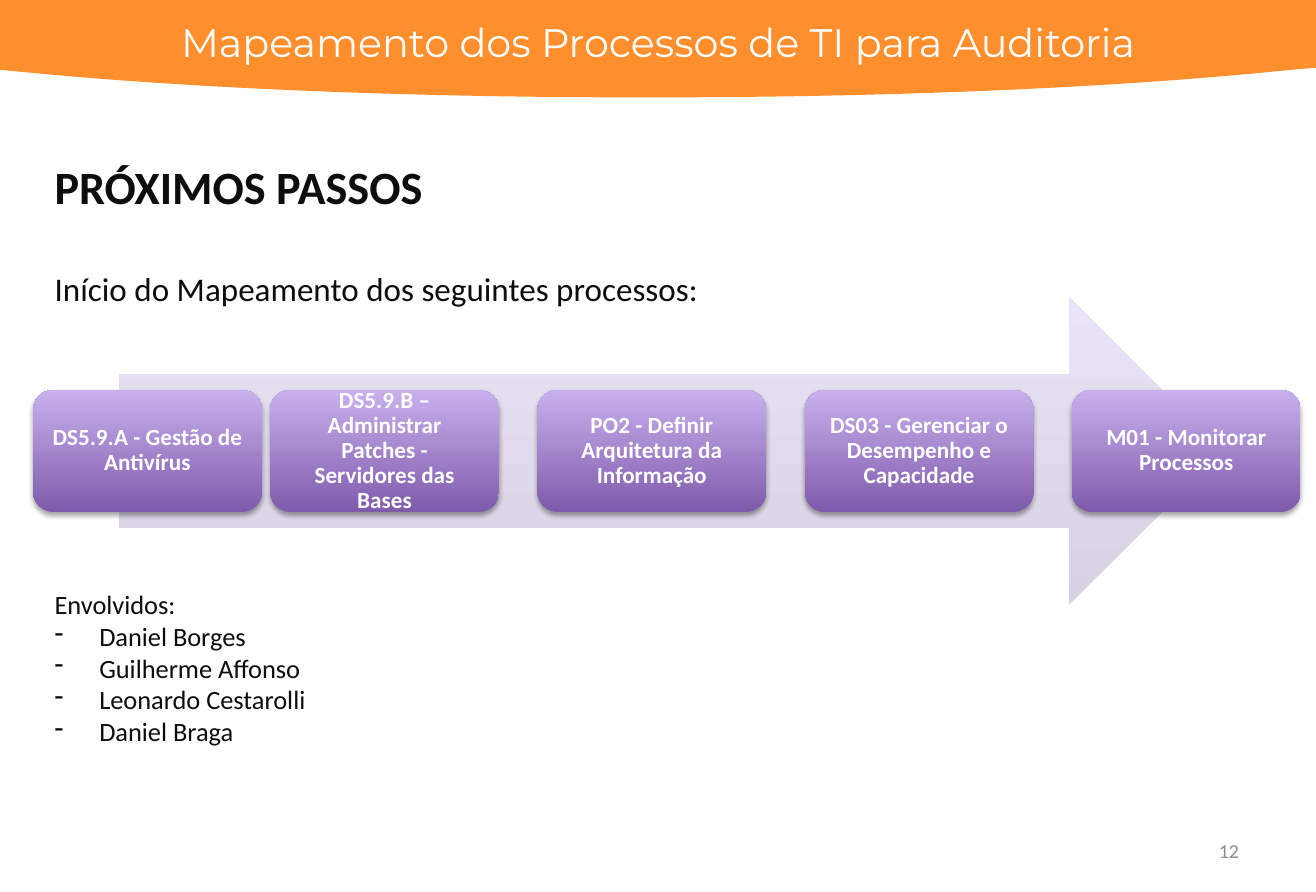
import pptx
import pptx.util
import pptx.dml.color
import pptx.enum.shapes
import pptx.enum.text
import pptx.oxml
import pptx.oxml.ns

Pt = pptx.util.Pt
RGBColor = pptx.dml.color.RGBColor
SHAPE = pptx.enum.shapes.MSO_SHAPE
ALIGN = pptx.enum.text.PP_ALIGN
ANCHOR = pptx.enum.text.MSO_ANCHOR

ORANGE = RGBColor(0xFF, 0x8E, 0x2D)
WHITE = RGBColor(0xFF, 0xFF, 0xFF)
INK = RGBColor(0x0D, 0x0D, 0x0D)
GRAY = RGBColor(0x8C, 0x8C, 0x8C)
ARROW_DARK = RGBColor(0xD7, 0xD1, 0xE2)
ARROW_LIGHT = RGBColor(0xEB, 0xE3, 0xF7)
CARD_DARK = RGBColor(0x7F, 0x5B, 0xAB)
CARD_LIGHT = RGBColor(0xC8, 0xB0, 0xED)

NAMESPACE = pptx.oxml.ns.nsdecls("a")
CARD_SHADOW = (
    f'<a:outerShdw {NAMESPACE} blurRad="{Pt(3.1)}" dist="{Pt(1.8)}" dir="5400000" rotWithShape="0">'
    '<a:srgbClr val="000000"><a:alpha val="35000"/></a:srgbClr></a:outerShdw>'
)


def write_text(shape, lines, size, color, font="Calibri", bold=False, align=ALIGN.JUSTIFY,
               anchor=ANCHOR.TOP, inset=(7.2, 3.6), line_spacing=None, bullets_from=None):
    frame = shape.text_frame
    frame.word_wrap = True
    frame.auto_size = pptx.enum.text.MSO_AUTO_SIZE.NONE
    frame.vertical_anchor = anchor
    frame.margin_left = frame.margin_right = Pt(inset[0])
    frame.margin_top = frame.margin_bottom = Pt(inset[1])
    for index, line in enumerate(lines):
        paragraph = frame.paragraphs[0] if index == 0 else frame.add_paragraph()
        if bullets_from is not None and index >= bullets_from:
            properties = paragraph._p.get_or_add_pPr()
            properties.set("marL", str(Pt(27)))
            properties.set("indent", str(-Pt(27)))
            properties.append(pptx.oxml.parse_xml(f'<a:buChar {NAMESPACE} char="-"/>'))
        paragraph.alignment = align
        paragraph.line_spacing = line_spacing
        run = paragraph.add_run()
        run.text = line
        run.font.name = font
        run.font.size = Pt(size)
        run.font.bold = bold
        run.font.color.rgb = color


def add_gradient_shape(kind, left, top, width, height, dark, light):
    shape = slide.shapes.add_shape(kind, Pt(left), Pt(top), Pt(width), Pt(height))
    shape.shadow.inherit = False
    shape.line.fill.background()
    shape.fill.gradient()
    shape.fill.gradient_angle = 90
    for stop, color in zip(shape.fill.gradient_stops, (dark, light)):
        stop.color.rgb = color
    return shape


presentation = pptx.Presentation()
presentation.slide_width = Pt(796.32)
presentation.slide_height = Pt(540)
slide = presentation.slides.add_slide(presentation.slide_layouts[5])

# Orange band with a curved lower edge, sampled from two Bezier arcs
edge = [(796.32, 0), (796.32, 41)]
arcs = [
    [(779, 42.5), (674, 53.3), (538.6, 59), (391, 59)],
    [(391, 59), (243.4, 59), (108, 53.3), (2.9, 42.5)],
]
STEPS = 24
for arc in arcs:
    for step in range(STEPS + 1):
        t = step / STEPS
        weights = ((1 - t) ** 3, 3 * t * (1 - t) ** 2, 3 * t ** 2 * (1 - t), t ** 3)
        edge.append(tuple(sum(w * point[axis] for w, point in zip(weights, arc)) for axis in (0, 1)))
edge.append((0, 42.5))
builder = slide.shapes.build_freeform(0, 0)
builder.add_line_segments([(Pt(x), Pt(y)) for x, y in edge], close=True)
band = builder.convert_to_shape()
band.shadow.inherit = False
band.fill.solid()
band.fill.fore_color.rgb = ORANGE
band.line.fill.background()

# Title, brought in front of the band
title = slide.shapes.title
title.left, title.top, title.width, title.height = Pt(40.3), Pt(7.2), Pt(715.7), Pt(36)
write_text(title, ["Mapeamento dos Processos de TI para Auditoria"], 24, WHITE,
           font="Montserrat", align=ALIGN.CENTER)
title.element.getparent().append(title.element)

# Process arrow and cards
add_gradient_shape(SHAPE.RIGHT_ARROW, 72, 180, 668, 186, ARROW_DARK, ARROW_LIGHT)
processes = [
    "DS5.9.A - Gestão de Antivírus",
    "DS5.9.B – Administrar Patches - Servidores das Bases",
    "PO2 - Definir Arquitetura da Informação",
    "DS03 - Gerenciar o Desempenho e Capacidade",
    "M01 - Monitorar Processos",
]
card_lefts = [20] + [163.5 + 161.7 * index for index in range(4)]
for left, process in zip(card_lefts, processes):
    card = add_gradient_shape(SHAPE.ROUNDED_RECTANGLE, left, 236, 138.5, 74, CARD_DARK, CARD_LIGHT)
    effects = card.element.spPr.find(pptx.oxml.ns.qn("a:effectLst"))
    effects.append(pptx.oxml.parse_xml(CARD_SHADOW))
    write_text(card, [process], 14, WHITE, bold=True, align=ALIGN.CENTER,
               anchor=ANCHOR.MIDDLE, inset=(8, 4), line_spacing=0.9)

# Heading, introduction, people involved and page number
people = ["Envolvidos:", "Daniel Borges", "Guilherme Affonso", "Leonardo Cestarolli", "Daniel Braga"]
texts = [
    ((26, 92.2, 407, 42), ["PRÓXIMOS PASSOS"], dict(size=28, color=INK, bold=True)),
    ((26, 158.8, 430, 32), ["Início do Mapeamento dos seguintes processos:"], dict(size=20, color=INK)),
    ((26, 352.7, 407, 106), people, dict(size=16, color=INK, bullets_from=1)),
    ((571, 500.4, 185.8, 28.8), ["12"],
     dict(size=12, color=GRAY, align=ALIGN.RIGHT, anchor=ANCHOR.MIDDLE)),
]
for box, lines, text_format in texts:
    text_box = slide.shapes.add_textbox(*[Pt(length) for length in box])
    write_text(text_box, lines, **text_format)

presentation.save("out.pptx")
